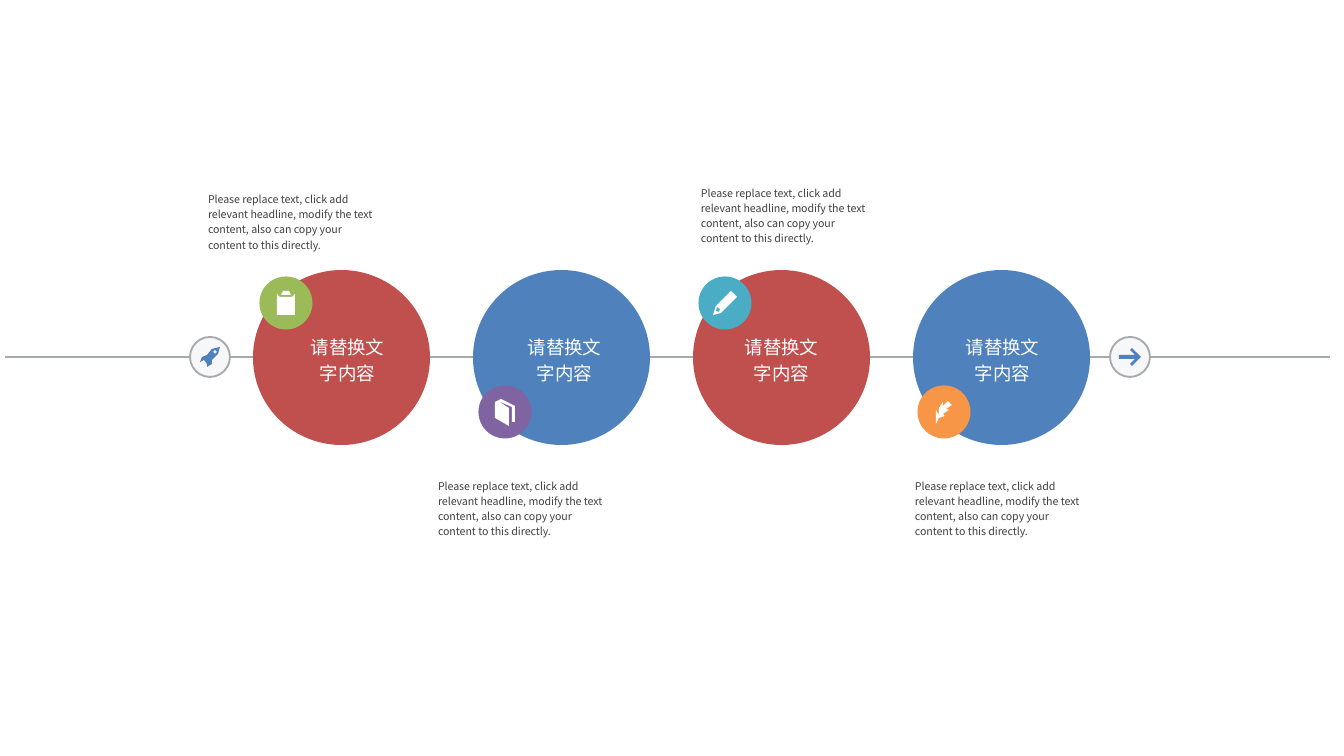
"""Build a four-step timeline slide with round stages, icon badges and captions."""
import itertools

import pptx
import pptx.dml.color
import pptx.enum.shapes
import pptx.enum.text
import pptx.oxml.ns
import pptx.util
from lxml import etree

PX = 914400 / 134.4

THEME = {
    "red": "C0504D", "blue": "4F81BD", "green": "9BBB59", "purple": "8064A2",
    "teal": "4BACC6", "orange": "F79646", "white": "FFFFFF", "pale": "F7F7FA",
    "gray": "A6AAA9", "label": "FCFCFC", "caption": "404040",
    "label_font": "Arial", "caption_font": "Noto Sans CJK SC",
    "label_size": 9.9, "caption_size": 5.7, "line_width": 1,
}

LABEL = "请替换文字内容"
CAPTION = ("Please replace text, click add relevant headline, modify the text "
           "content, also can copy your content to this directly.")

STAGES = [
    {"color": "red", "label_x": 306, "caption": (208, 190),
     "badge": (286, 303), "badge_color": "green", "icon": "clipboard"},
    {"color": "blue", "label_x": 523, "caption": (438, 477),
     "badge": (505, 412), "badge_color": "purple", "icon": "book"},
    {"color": "red", "label_x": 740, "caption": (701, 184),
     "badge": (725, 303), "badge_color": "teal", "icon": "pencil"},
    {"color": "blue", "label_x": 961, "caption": (915, 477),
     "badge": (944, 412), "badge_color": "orange", "icon": "feather"},
]
ENDS = [(210, "rocket"), (1130, "arrow")]

ARROW_HALF = [(11, 0), (2, -9), (0, -7), (5, -2), (-11, -2)]
ICONS = {
    "clipboard": [
        [(-3, -12), (3, -12), (5, -8), (-5, -8)],
        [(-9, -9), (-6, -6), (6, -6), (9, -9), (9, 12), (-9, 12)],
    ],
    "book": [
        [(10, -6), (-4, -13), (-10, -10), (-10, 6), (4, 14), (4, -4),
         (-7, -11), (7, -5), (7, 10), (10, 10)],
    ],
    "pencil": [
        [(-12, 12), (-9, 3), (6, -12), (12, -6), (-4, 10)],
        [(-6, 9), (-9, 8), (-8, 4), (-5, 6)],
    ],
    "feather": [
        [(-8, 12), (-5, 6), (1, 4), (-1, 2), (5, -2), (2, -3), (8, -7),
         (4, -11), (-1, -6), (-1, -10), (-5, -4), (-5, 3), (-8, -2)],
    ],
    "rocket": [
        [(10, -10), (2, -8), (-3, -2), (-8, 0), (-10, 5), (-6, 3),
         (-3, 7), (-3, 10), (2, 7), (2, 3), (8, -3)],
        [(5, -7), (7, -5), (5, -3), (3, -5)],
    ],
    "arrow": [ARROW_HALF + [(x, -y) for x, y in reversed(ARROW_HALF[1:])]],
}

AXIS_Y = 357
AXIS_START, AXIS_END = 5, 1330
STAGE_LEFT, STAGE_TOP, STAGE_PITCH = 253, 270, 220
STAGE_WIDTH, STAGE_HEIGHT = 177, 175
BADGE_SIZE, END_SIZE = 53, 40
LABEL_TOP, LABEL_WIDTH, LABEL_HEIGHT = 331, 83, 54
CAPTION_WIDTH, CAPTION_HEIGHT = 173, 62


def px(*lengths):
    return [round(length * PX) for length in lengths]


def rgb(name):
    return pptx.dml.color.RGBColor.from_string(THEME[name])


def paint(shape, fill, outline=None):
    shape.shadow.inherit = False
    shape.fill.solid()
    shape.fill.fore_color.rgb = rgb(fill)
    if outline:
        shape.line.color.rgb = rgb(outline)
        shape.line.width = pptx.util.Pt(THEME["line_width"])
    else:
        shape.line.fill.background()


def add_oval(slide, left, top, width, height, fill, outline=None):
    oval = slide.shapes.add_shape(
        pptx.enum.shapes.MSO_SHAPE.OVAL, *px(left, top, width, height))
    paint(oval, fill, outline)


def add_icon(slide, name, center, fill):
    first, *others = ICONS[name]
    builder = slide.shapes.build_freeform(*first[0], scale=PX)
    builder.add_line_segments(first[1:], close=True)
    for contour in others:
        builder.move_to(*contour[0])
        builder.add_line_segments(contour[1:], close=True)
    paint(builder.convert_to_shape(*px(*center)), fill)


def add_badge(slide, center, size, fill, icon, icon_fill, outline=None):
    left, top = (position - size / 2 for position in center)
    add_oval(slide, left, top, size, size, fill, outline)
    add_icon(slide, icon, center, icon_fill)


def add_text(slide, box, text, role, alignment, anchor):
    frame = slide.shapes.add_textbox(*px(*box)).text_frame
    frame.word_wrap = True
    frame.margin_left = frame.margin_right = 0
    frame.margin_top = frame.margin_bottom = 0
    frame.vertical_anchor = anchor
    frame.text = text
    paragraph = frame.paragraphs[0]
    paragraph.alignment = alignment
    paragraph.line_spacing = 1.2
    font = paragraph.runs[0].font
    font.name = THEME[role + "_font"]
    font.size = pptx.util.Pt(THEME[role + "_size"])
    font.color.rgb = rgb(role)


def add_axis(slide, start, end):
    connector = slide.shapes.add_connector(
        pptx.enum.shapes.MSO_CONNECTOR.STRAIGHT, *px(start, AXIS_Y, end, AXIS_Y))
    connector.line.color.rgb = rgb("gray")
    connector.line.width = pptx.util.Pt(THEME["line_width"])
    etree.SubElement(connector._element.spPr, pptx.oxml.ns.qn("a:effectLst"))


def main():
    presentation = pptx.Presentation()
    presentation.slide_width, presentation.slide_height = px(1344, 756)
    slide = presentation.slides.add_slide(presentation.slide_layouts[6])
    align, anchor = pptx.enum.text.PP_ALIGN, pptx.enum.text.MSO_ANCHOR

    lefts = [STAGE_LEFT + STAGE_PITCH * index for index in range(len(STAGES))]
    centers = [left + STAGE_WIDTH // 2 for left in lefts]
    stops = sorted([AXIS_START, AXIS_END, *centers, *(x for x, _ in ENDS)])
    for start, end in itertools.pairwise(stops):
        add_axis(slide, start, end)

    for left, stage in zip(lefts, STAGES):
        add_oval(slide, left, STAGE_TOP, STAGE_WIDTH, STAGE_HEIGHT, stage["color"])
        add_badge(slide, stage["badge"], BADGE_SIZE, stage["badge_color"],
                  stage["icon"], "white")
        add_text(slide, (stage["label_x"], LABEL_TOP, LABEL_WIDTH, LABEL_HEIGHT),
                 LABEL, "label", align.CENTER, anchor.MIDDLE)
        add_text(slide, (*stage["caption"], CAPTION_WIDTH, CAPTION_HEIGHT),
                 CAPTION, "caption", align.LEFT, anchor.TOP)

    for x, icon in ENDS:
        add_badge(slide, (x, AXIS_Y), END_SIZE, "pale", icon, "blue", "gray")

    presentation.save("out.pptx")


if __name__ == "__main__":
    main()
